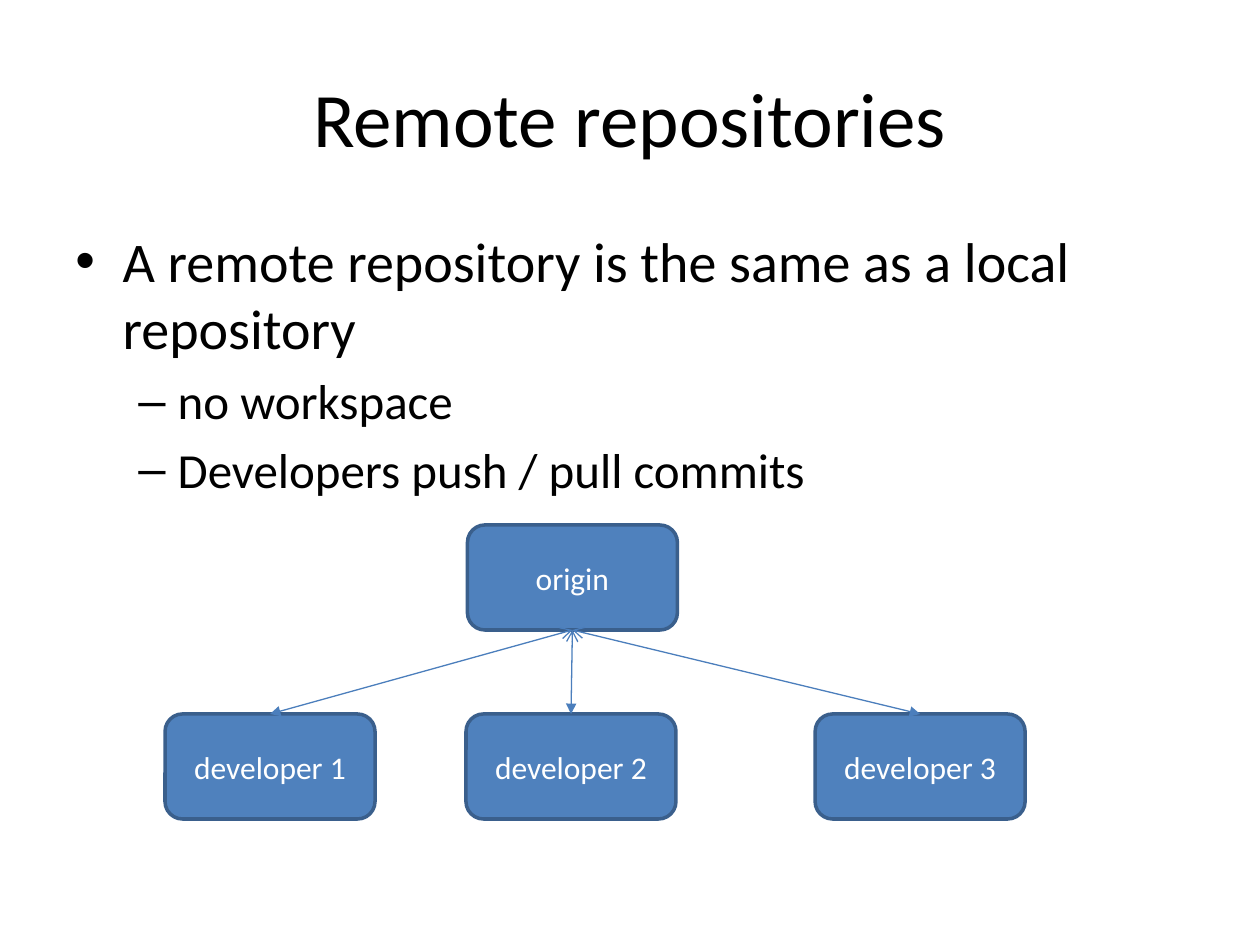
from dataclasses import dataclass

from lxml import etree
from pptx import Presentation
from pptx import util as u
from pptx.dml.color import RGBColor
from pptx.enum import shapes, text
from pptx.oxml import ns

Pt = u.Pt


@dataclass(frozen=True)
class Theme:
    font: str = "Calibri"
    ink: RGBColor = RGBColor(0x00, 0x00, 0x00)
    node_ink: RGBColor = RGBColor(0xFF, 0xFF, 0xFF)
    node_fill: RGBColor = RGBColor(0x4F, 0x81, 0xBD)
    node_edge: RGBColor = RGBColor(0x3A, 0x5F, 0x8C)
    link: RGBColor = RGBColor(0x4B, 0x7E, 0xBC)
    title_size: int = 44
    level_sizes: tuple = (32, 28)
    node_size: int = 18


@dataclass(frozen=True)
class Box:
    left: float
    top: float
    width: float
    height: float

    def lengths(self):
        return [Pt(v) for v in (self.left, self.top, self.width, self.height)]


THEME = Theme()
LEVELS = (
    {"bullet": "•", "marL": 27, "indent": -27},
    {"bullet": "–", "marL": 58.5, "indent": -22.5},
)
POINTS = (
    (0, "A remote repository is the same as a local repository"),
    (1, "no workspace"),
    (1, "Developers push / pull commits"),
)
NODE_WIDTH, NODE_HEIGHT = 120, 60
ORIGIN_OFFSET = 172.8
DEVELOPER_OFFSETS = (0, 172, 371.5)


def apply(target, values):
    for name, value in values.items():
        setattr(target, name, value)


def add_child(parent, tag, **attributes):
    return etree.SubElement(parent, ns.qn(tag), attributes)


def write(paragraph, words, size, color):
    run = paragraph.add_run()
    run.text = words
    apply(run.font, {"name": THEME.font, "size": Pt(size)})
    run.font.color.rgb = color


def place_title(slide, box):
    title = slide.shapes.title
    apply(title, dict(zip(("left", "top", "width", "height"), box.lengths())))
    title.text_frame.vertical_anchor = text.MSO_ANCHOR.MIDDLE
    heading = title.text_frame.paragraphs[0]
    heading.alignment = text.PP_ALIGN.CENTER
    write(heading, "Remote repositories", THEME.title_size, THEME.ink)


def place_points(slide, box):
    frame = slide.shapes.add_textbox(*box.lengths()).text_frame
    frame.word_wrap = True
    for index, (level, words) in enumerate(POINTS):
        point = frame.add_paragraph() if index else frame.paragraphs[0]
        size, style = THEME.level_sizes[level], LEVELS[level]
        apply(point, {"level": level, "space_before": Pt(size * 0.2)})
        write(point, words, size, THEME.ink)
        properties = point._p.get_or_add_pPr()
        for name in ("marL", "indent"):
            properties.set(name, str(Pt(style[name])))
        add_child(properties, "a:buFont", typeface="Arial")
        add_child(properties, "a:buChar", char=style["bullet"])


def add_node(slide, left, top, words):
    box = Box(left, top, NODE_WIDTH, NODE_HEIGHT)
    node = slide.shapes.add_shape(shapes.MSO_SHAPE.ROUNDED_RECTANGLE, *box.lengths())
    node.shadow.inherit = False
    node.fill.solid()
    node.fill.fore_color.rgb = THEME.node_fill
    node.line.color.rgb = THEME.node_edge
    node.line.width = Pt(2)
    node.text_frame.vertical_anchor = text.MSO_ANCHOR.MIDDLE
    label = node.text_frame.paragraphs[0]
    label.alignment = text.PP_ALIGN.CENTER
    write(label, words, THEME.node_size, THEME.node_ink)
    return node


def add_link(slide, developer, origin):
    link = slide.shapes.add_connector(shapes.MSO_CONNECTOR.STRAIGHT, 0, 0, 0, 0)
    link.begin_connect(developer, 0)
    link.end_connect(origin, 2)
    link.line.color.rgb = THEME.link
    link.line.width = Pt(0.75)
    outline = link.line._get_or_add_ln()
    add_child(outline, "a:headEnd", type="triangle")
    add_child(outline, "a:tailEnd", type="arrow")
    add_child(link._element.spPr, "a:effectLst")


def place_diagram(slide, box):
    developer_top = box.top + box.height - NODE_HEIGHT
    developers = [
        add_node(slide, box.left + offset, developer_top, f"developer {number}")
        for number, offset in enumerate(DEVELOPER_OFFSETS, 1)
    ]
    origin = add_node(slide, box.left + ORIGIN_OFFSET, box.top, "origin")
    for developer in developers:
        add_link(slide, developer, origin)


def main():
    deck = Presentation()
    apply(deck, {"slide_width": Pt(720), "slide_height": Pt(540)})
    slide = deck.slides.add_slide(deck.slide_layouts[5])
    place_title(slide, Box(36, 21.6, 648, 90))
    place_points(slide, Box(36, 126, 648, 356.4))
    place_diagram(slide, Box(94.3, 300, 491.5, 168))
    deck.save("out.pptx")


if __name__ == "__main__":
    main()
